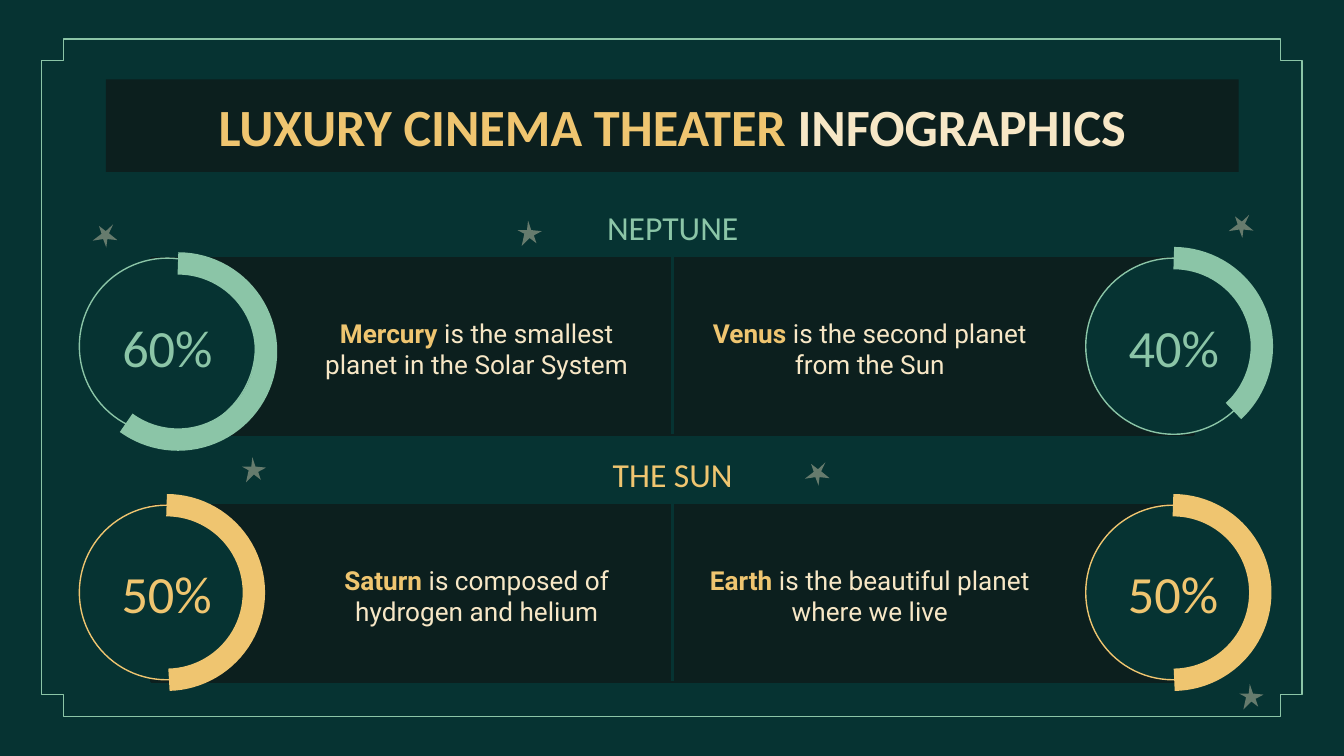
from lxml.etree import SubElement
from pptx import Presentation
from pptx.dml.color import RGBColor
from pptx.enum.shapes import MSO_CONNECTOR as CONNECTOR, MSO_SHAPE as SHAPE
from pptx.enum.text import MSO_ANCHOR as ANCHOR, PP_ALIGN as ALIGN
from pptx.oxml.ns import qn
from pptx.util import Cm, Pt

DEEP_GREEN = RGBColor(0x06, 0x33, 0x32)
NEAR_BLACK = RGBColor(0x0C, 0x1F, 0x1E)
MINT = RGBColor(0x8B, 0xC5, 0xA7)
GOLD = RGBColor(0xEF, 0xC5, 0x70)
CREAM = RGBColor(0xF7, 0xE7, 0xC6)

UPRIGHT_STAR = [(0.2, 0), (0.18, 0.18), (0, 0.18), (0.13, 0.25), (0.08, 0.48),
                (0.23, 0.33), (0.36, 0.43), (0.31, 0.28), (0.46, 0.2), (0.26, 0.18)]
TILTED_STAR = [(0.39, 0), (0.25, 0.13), (0.12, 0.03), (0.17, 0.18), (0, 0.31),
               (0.2, 0.28), (0.26, 0.44), (0.28, 0.28), (0.47, 0.3), (0.31, 0.17)]
STARS = [
    (UPRIGHT_STAR, [(4.57, 8.64), (9.78, 4.17), (23.42, 12.93)]),
    (TILTED_STAR, [(23.22, 4.06), (1.75, 4.24), (15.21, 8.74)]),
]

TOPICS = [
    ("NEPTUNE", MINT, 4.88, 3.33, [
        ("60%", 75.59, (0.2, 0.1), "Mercury", " is the smallest planet in the Solar System"),
        ("40%", 28.42, (0, 0), "Venus", " is the second planet from the Sun"),
    ]),
    ("THE SUN", GOLD, 9.55, 3.3, [
        ("50%", 53.07, (0, 0), "Saturn", " is composed of hydrogen and helium"),
        ("50%", 53.52, (0, 0), "Earth", " is the beautiful planet where we live"),
    ]),
]


def add_figure(slide, kind, box, fill=None, line=None, width=0.75):
    """Draw a preset shape in a box given in centimetres."""
    figure = slide.shapes.add_shape(kind, *map(Cm, box))
    figure.shadow.inherit = False
    if fill is None:
        figure.fill.background()
    else:
        figure.fill.solid()
        figure.fill.fore_color.rgb = fill
    if line is None:
        figure.line.fill.background()
    else:
        figure.line.color.rgb = line
        figure.line.width = Pt(width)
    return figure


def add_words(slide, box, *pieces, font="Calibri", size=18):
    """Write centred text from (text, colour, bold) pieces."""
    frame = slide.shapes.add_textbox(*map(Cm, box)).text_frame
    frame.word_wrap = True
    frame.vertical_anchor = ANCHOR.MIDDLE
    frame.margin_left = frame.margin_right = Cm(0.25)
    frame.margin_top = frame.margin_bottom = Cm(0.25)
    paragraph = frame.paragraphs[0]
    paragraph.alignment = ALIGN.CENTER
    for text, colour, bold in pieces:
        run = paragraph.add_run()
        run.text = text
        run.font.name = font
        run.font.size = Pt(size)
        run.font.bold = bold
        run.font.color.rgb = colour


def add_title(slide, box):
    """Place the title band and its two-colour heading."""
    add_figure(slide, SHAPE.RECTANGLE, box, fill=NEAR_BLACK)
    add_words(slide, box, ("LUXURY CINEMA THEATER", GOLD, True),
              (" INFOGRAPHICS", CREAM, True), size=28)


def add_ring(slide, box, percent, sweep, shift, colour):
    """Place a thin circle, its thick progress arc and the percentage."""
    left, top, width, height = box
    add_figure(slide, SHAPE.OVAL, box, fill=DEEP_GREEN, line=colour)
    arc_box = (left + shift[0], top + shift[1], width, height)
    arc = add_figure(slide, SHAPE.ARC, arc_box, line=colour, width=12)
    arc.adjustments[0] = 162
    arc.adjustments[1] = sweep
    add_words(slide, box, (percent, colour, False), size=28)


def add_divider(slide, x, top, bottom):
    """Draw the upright line between the halves of a panel."""
    divider = slide.shapes.add_connector(
        CONNECTOR.STRAIGHT, Cm(x), Cm(top), Cm(x), Cm(bottom))
    divider.line.color.rgb = DEEP_GREEN
    divider.line.width = Pt(1.5)
    SubElement(divider._element.spPr, qn("a:effectLst"))


def add_topic(slide, box, heading, colour, diameter, facts):
    """Place a headed panel with a fact and a ring on each side."""
    left, top, width, height = box
    middle = left + width / 2
    add_figure(slide, SHAPE.RECTANGLE, box, fill=NEAR_BLACK, line=NEAR_BLACK, width=1.5)
    add_words(slide, (middle - 2.5, top - 1.07, 5, 0.97), (heading, colour, False))
    ring_lefts = (left - 1.37, left + width - 2.04)
    fact_lefts = (middle - 6.98, middle + 0.45)
    for ring_left, fact_left, fact in zip(ring_lefts, fact_lefts, facts):
        percent, sweep, shift, planet, statement = fact
        ring_box = (ring_left, top, diameter, diameter)
        add_ring(slide, ring_box, percent, sweep, shift, colour)
        add_words(slide, (fact_left, top + 0.04, 6.55, height),
                  (planet, GOLD, True), (statement, CREAM, False),
                  font="Roboto", size=14)
    add_divider(slide, middle, top - 0.1, top + height)


def add_star(slide, left, top, outline):
    """Draw one translucent star with its corner at the given place."""
    corners = [(Cm(x), Cm(y)) for x, y in outline]
    builder = slide.shapes.build_freeform(*corners[0])
    builder.add_line_segments(corners[1:])
    star = builder.convert_to_shape(Cm(left), Cm(top))
    star.shadow.inherit = False
    star.fill.solid()
    star.fill.fore_color.rgb = CREAM
    star.line.fill.background()
    tint = star._element.spPr.find(qn("a:solidFill"))[0]
    SubElement(tint, qn("a:alpha")).set("val", "40000")


def main():
    """Build the slide and save it."""
    deck = Presentation()
    deck.slide_width, deck.slide_height = Cm(25.4), Cm(14.29)
    slide = deck.slides.add_slide(deck.slide_layouts[6])
    slide.background.fill.solid()
    slide.background.fill.fore_color.rgb = DEEP_GREEN
    border = add_figure(slide, SHAPE.CROSS, (0.79, 0.74, 23.82, 12.8), line=MINT)
    border.adjustments[0] = 0.032
    add_title(slide, (2, 1.5, 21.41, 1.75))
    for heading, colour, top, diameter, facts in TOPICS:
        add_topic(slide, (2.87, top, 19.69, 3.33), heading, colour, diameter, facts)
    for outline, places in STARS:
        for left, top in places:
            add_star(slide, left, top, outline)
    deck.save("out.pptx")


if __name__ == "__main__":
    main()
